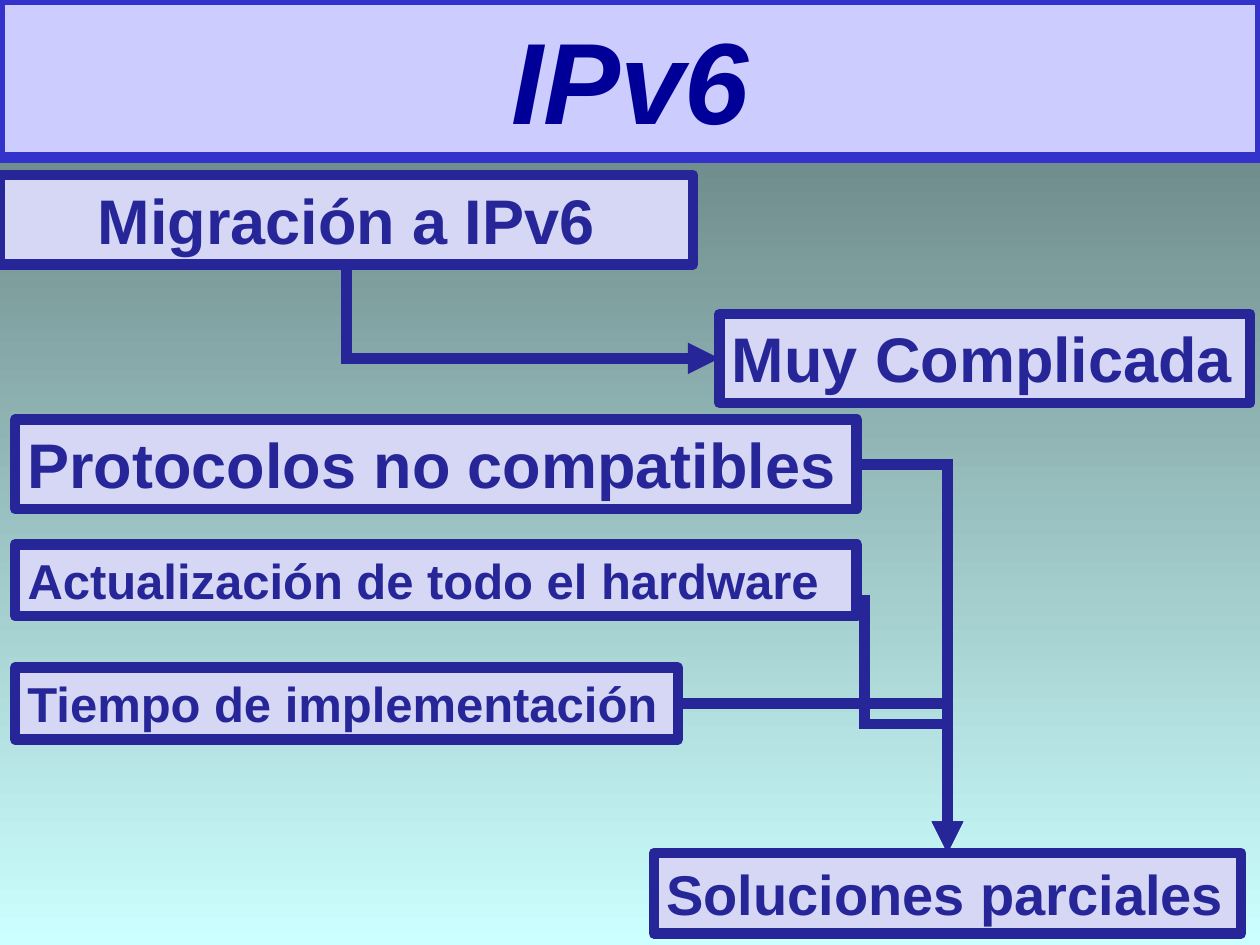
from lxml import etree
from pptx import Presentation
from pptx.dml.color import RGBColor
from pptx.enum.shapes import MSO_CONNECTOR
from pptx.enum.text import MSO_ANCHOR, MSO_AUTO_SIZE, PP_ALIGN
from pptx.oxml.ns import qn
from pptx.util import Inches, Pt

SLATE = RGBColor(0x5E, 0x76, 0x76)
AQUA = RGBColor(0xCC, 0xFF, 0xFF)
LAVENDER = RGBColor(0xCC, 0xCC, 0xFF)
BLUE = RGBColor(0x33, 0x33, 0xCC)
NAVY = RGBColor(0x00, 0x00, 0x99)
PALE = RGBColor(0xD6, 0xD6, 0xF5)
INDIGO = RGBColor(0x26, 0x26, 0x99)
BORDER = Pt(6)


def write_box(box, text, size, color=INDIGO, fill=PALE, border=INDIGO, italic=False,
              align=PP_ALIGN.LEFT, anchor=MSO_ANCHOR.TOP, wrap=True,
              auto_size=MSO_AUTO_SIZE.SHAPE_TO_FIT_TEXT):
    box.fill.solid()
    box.fill.fore_color.rgb = fill
    box.line.color.rgb = border
    box.line.width = BORDER
    frame = box.text_frame
    frame.word_wrap = wrap
    frame.auto_size = auto_size
    frame.vertical_anchor = anchor
    paragraph = frame.paragraphs[0]
    paragraph.alignment = align
    run = paragraph.add_run()
    run.text = text
    font = run.font
    font.name, font.size, font.bold, font.italic = "Arial", Pt(size), True, italic
    font.color.rgb = color


def add_elbow(start, end, preset="bentConnector2", down_first=False, source=None, target=None):
    """Draw a bent arrow; source and target are (box, site) pairs to join."""
    (x1, y1), (x2, y2) = start, end
    elbow = slide.shapes.add_connector(
        MSO_CONNECTOR.ELBOW, Inches(x1), Inches(y1), Inches(x2), Inches(y2))
    if source:
        elbow.begin_connect(*source)
    if target:
        elbow.end_connect(*target)
    properties = elbow._element.spPr
    properties.find(qn("a:prstGeom")).set("prst", preset)
    if down_first:
        # A quarter turn swaps width and height around the same centre.
        left, top, width, height = elbow.left, elbow.top, elbow.width, elbow.height
        elbow.left = left + (width - height) // 2
        elbow.top = top + (height - width) // 2
        elbow.width, elbow.height = height, width
        transform = properties.find(qn("a:xfrm"))
        transform.set("rot", str(270 * 60000))
        transform.set("flipH", "1")
    elbow.line.color.rgb = INDIGO
    elbow.line.width = BORDER
    outline = properties.find(qn("a:ln"))
    etree.SubElement(outline, qn("a:miter"), lim="800000")
    etree.SubElement(outline, qn("a:tailEnd"), type="triangle")
    etree.SubElement(properties, qn("a:effectLst"))


prs = Presentation()
prs.slide_width, prs.slide_height = Inches(10), Inches(7.5)
slide = prs.slides.add_slide(prs.slide_layouts[5])

backdrop = slide.background.fill
backdrop.gradient()
backdrop.gradient_angle = 270
for stop, color, position in zip(backdrop.gradient_stops, (SLATE, AQUA), (0, 1)):
    stop.color.rgb = color
    stop.position = position

title = slide.shapes.title
title.left, title.top, title.width, title.height = 0, 0, Inches(10), Inches(1.25)
write_box(title, "IPv6", 66, color=NAVY, fill=LAVENDER, border=BLUE, italic=True,
          align=PP_ALIGN.CENTER, anchor=MSO_ANCHOR.MIDDLE, auto_size=MSO_AUTO_SIZE.NONE)

# text, left, top, width, height, size, wrap, alignment
topics = [
    ("Migración a IPv6", 0, 1.39, 5.5, 0.71, 36, True, PP_ALIGN.CENTER),
    ("Muy Complicada", 5.71, 2.49, 4.21, 0.71, 36, False, PP_ALIGN.LEFT),
    ("Protocolos no compatibles", 0.12, 3.33, 6.68, 0.71, 36, False, PP_ALIGN.LEFT),
    ("Actualización de todo el hardware", 0.12, 4.32, 6.68, 0.57, 28, True, PP_ALIGN.LEFT),
    ("Tiempo de implementación", 0.12, 5.3, 5.26, 0.57, 28, True, PP_ALIGN.LEFT),
    ("Soluciones parciales", 5.19, 6.77, 4.66, 0.64, 32, False, PP_ALIGN.LEFT),
]
boxes = []
for text, left, top, width, height, size, wrap, align in topics:
    box = slide.shapes.add_textbox(Inches(left), Inches(top), Inches(width), Inches(height))
    write_box(box, text, size, wrap=wrap, align=align)
    boxes.append(box)
migration, complicated, protocols, hardware, rollout, solutions = boxes

TOP, LEFT, BOTTOM, RIGHT = range(4)
solutions_top = (7.52, 6.77)
add_elbow((2.75, 2.1), (5.71, 2.84), down_first=True,
          source=(migration, BOTTOM), target=(complicated, LEFT))
add_elbow((6.8, 3.69), solutions_top, source=(protocols, RIGHT), target=(solutions, TOP))
add_elbow((6.86, 4.72), solutions_top, preset="bentConnector3", down_first=True)
add_elbow((5.38, 5.59), solutions_top, source=(rollout, RIGHT), target=(solutions, TOP))

prs.save("out.pptx")
